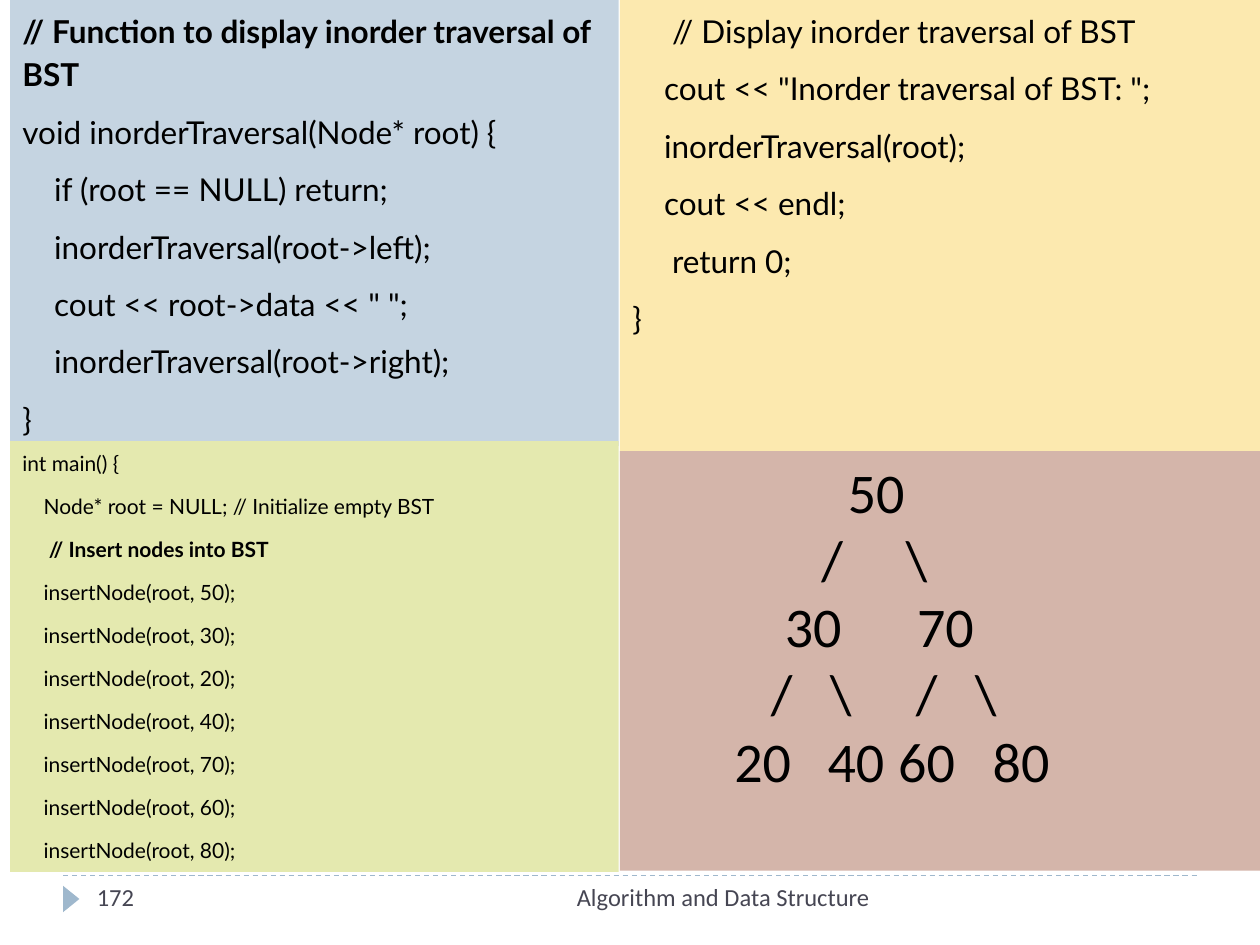
from lxml import etree
from pptx import Presentation
from pptx.dml.color import RGBColor
from pptx.enum.dml import MSO_LINE
from pptx.enum.shapes import MSO_CONNECTOR, MSO_SHAPE
from pptx.enum.text import MSO_ANCHOR, MSO_AUTO_SIZE, PP_ALIGN
from pptx.oxml.ns import qn
from pptx.util import Inches, Pt

RECT, TRIANGLE = MSO_SHAPE.RECTANGLE, MSO_SHAPE.ISOSCELES_TRIANGLE
LEFT, RIGHT = PP_ALIGN.LEFT, PP_ALIGN.RIGHT

BLUE = RGBColor(0xC5, 0xD4, 0xE1)
YELLOW = RGBColor(0xFC, 0xE9, 0xAF)
GREEN = RGBColor(0xE4, 0xE9, 0xAF)
ROSE = RGBColor(0xD4, 0xB5, 0xAA)
ACCENT = RGBColor(0x9F, 0xB8, 0xCD)
BLACK = RGBColor(0, 0, 0)
SLATE = RGBColor(0x46, 0x46, 0x53)

# Two columns as (left, width)
COL_1, COL_2 = (0.08, 4.83), (4.92, 5.08)
FOOTER_TOP = 6.95
SPACE_EM = 0.0035  # indent of one code column, in inches per point

# Code lines as (indent in columns, text, bold)
TRAVERSAL = [
    (0, "// Function to display inorder traversal of BST", True),
    (0, "void inorderTraversal(Node* root) {", False),
    (4, "if (root == NULL) return;", False),
    (4, "inorderTraversal(root->left);", False),
    (4, 'cout << root->data << " ";', False),
    (4, "inorderTraversal(root->right);", False),
    (0, "}", False),
]
DISPLAY = [
    (5, "// Display inorder traversal of BST", False),
    (4, 'cout << "Inorder traversal of BST: ";', False),
    (4, "inorderTraversal(root);", False),
    (4, "cout << endl;", False),
    (5, "return 0;", False),
    (0, "}", False),
]
INSERTS = [
    (0, "int main() {", False),
    (4, "Node* root = NULL; // Initialize empty BST", False),
    (5, "// Insert nodes into BST", True),
] + [(4, f"insertNode(root, {key});", False) for key in (50, 30, 20, 40, 70, 60, 80)]

# Tree rows as (tab stop in inches, text)
TREE = [
    [(1.71, "50")],
    [(1.5, "/"), (2.17, "\\")],
    [(1.21, "30"), (2.26, "70")],
    [(1.1, "/"), (1.57, "\\"), (2.25, "/"), (2.72, "\\")],
    [(0.81, "20"), (1.55, "40"), (2.11, "60"), (2.86, "80")],
]


def add_run(p, text, color=BLACK, **font):
    r = p.add_run()
    r.text = text
    for name, value in font.items():
        setattr(r.font, name, value)
    r.font.color.rgb = color


def paragraphs(tf, count):
    return [tf.paragraphs[0]] + [tf.add_paragraph() for _ in range(count - 1)]


def add_filled(s, kind, left, top, width, height, color):
    sp = s.shapes.add_shape(kind, *map(Inches, (left, top, width, height)))
    sp.shadow.inherit = False
    sp.fill.solid()
    sp.fill.fore_color.rgb = color
    sp.line.fill.background()
    return sp


def add_panel(s, column, top, height, color):
    sp = add_filled(s, RECT, column[0], top, column[1], height, color)
    tf = sp.text_frame
    tf.word_wrap = True
    tf.auto_size = MSO_AUTO_SIZE.SHAPE_TO_FIT_TEXT
    tf.vertical_anchor = MSO_ANCHOR.TOP
    return tf


def write_code(tf, lines, size):
    for p, (columns, text, bold) in zip(paragraphs(tf, len(lines)), lines):
        p.alignment, p.line_spacing, p.space_after = LEFT, 1.15, Pt(8)
        p._p.get_or_add_pPr().set("marL", str(Inches(columns * size * SPACE_EM)))
        add_run(p, text, name="Lato", size=Pt(size), bold=bold)


def write_tree(tf, rows):
    for p, row in zip(paragraphs(tf, len(rows)), rows):
        p.alignment = LEFT
        tabs = etree.SubElement(p._p.get_or_add_pPr(), qn("a:tabLst"))
        for stop, _ in row:
            etree.SubElement(tabs, qn("a:tab"), pos=str(Inches(stop)), algn="l")
        add_run(p, "".join("\t" + text for _, text in row), name="Calibri", size=Pt(32))


def add_footer_text(s, left, width, text, align):
    box = s.shapes.add_textbox(*map(Inches, (left, FOOTER_TOP, width, 0.4)))
    box.text_frame.word_wrap = True
    p = box.text_frame.paragraphs[0]
    p.alignment = align
    add_run(p, text, SLATE, name="Calibri", size=Pt(14))


def add_footer_rule(s):
    line = s.shapes.add_connector(
        MSO_CONNECTOR.STRAIGHT, *map(Inches, (0.5, FOOTER_TOP, 9.5, FOOTER_TOP)))
    line.line.color.rgb = ACCENT
    line.line.width = Pt(0.75)
    line.line.dash_style = MSO_LINE.DASH
    etree.SubElement(line._element.spPr, qn("a:effectLst"))


def main():
    prs = Presentation()
    prs.slide_width, prs.slide_height = Inches(10), Inches(7.5)
    s = prs.slides.add_slide(prs.slide_layouts[6])

    add_footer_rule(s)
    add_filled(s, TRIANGLE, 0.46, 7.07, 0.21, 0.13, ACCENT).rotation = 90

    write_code(add_panel(s, COL_1, 0, 3.54, BLUE), TRAVERSAL, 18)
    write_code(add_panel(s, COL_2, 0, 3.66, YELLOW), DISPLAY, 18)
    write_code(add_panel(s, COL_1, 3.5, 3.42, GREEN), INSERTS, 12)
    write_tree(add_panel(s, COL_2, 3.58, 3.33, ROSE), TREE)

    add_footer_text(s, 3.17, 3.83, "Algorithm and Data Structure", RIGHT)
    add_footer_text(s, 0.67, 2.17, "172", LEFT)
    prs.save("out.pptx")


if __name__ == "__main__":
    main()
